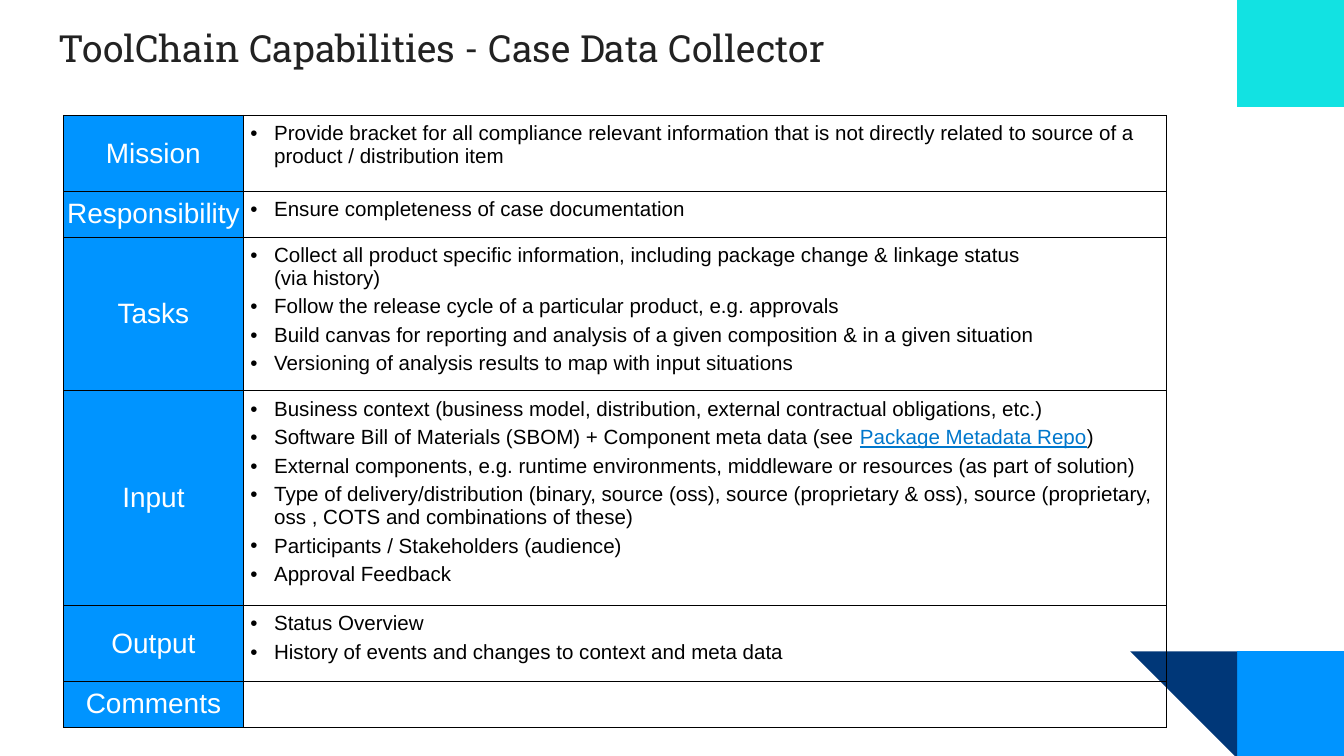
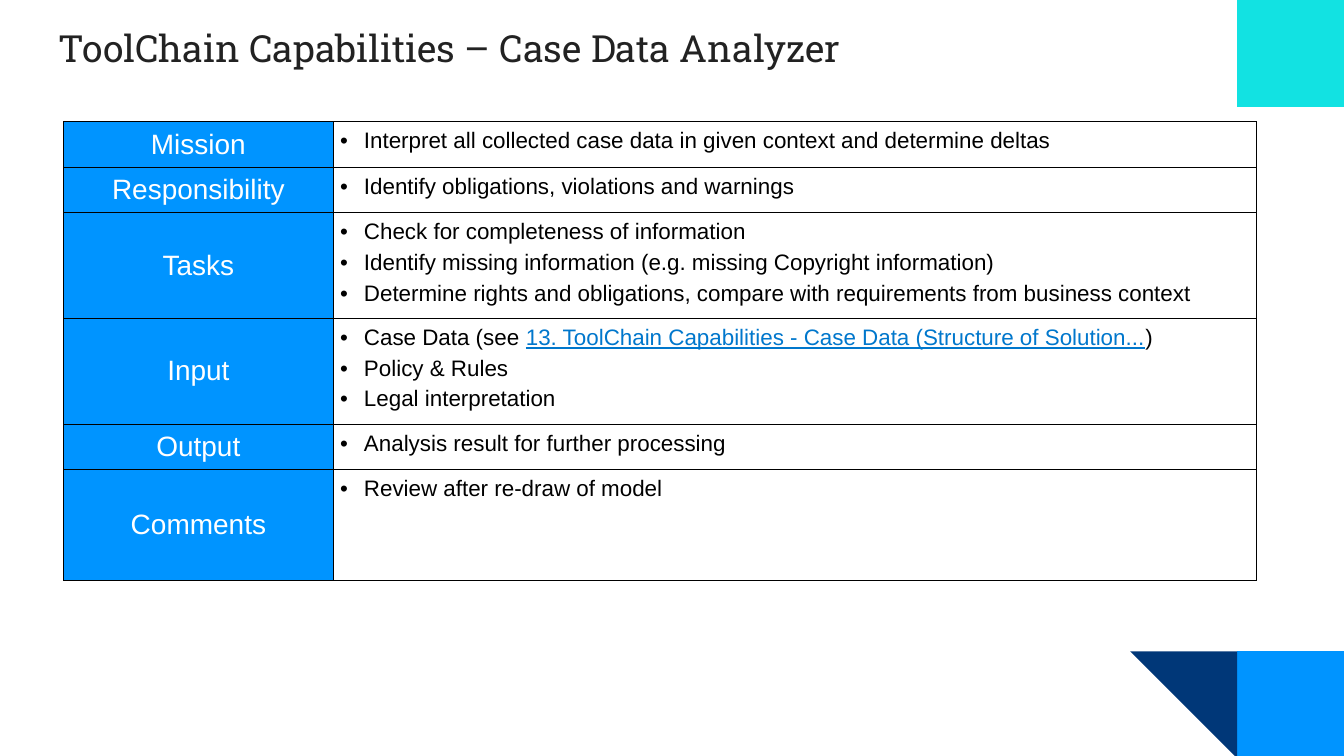
from dataclasses import dataclass
from lxml.etree import SubElement as Sub
from pptx import Presentation
from pptx.dml.color import RGBColor as RGB
from pptx.enum.shapes import MSO_SHAPE as Kind
from pptx.enum.text import MSO_ANCHOR as Anchor, PP_ALIGN as Align
from pptx.oxml import parse_xml
from pptx.oxml.ns import nsdecls, qn
from pptx.util import Cm, Pt

# Content: row label, row height in cm, bullets; |bars| enclose link-styled text
DECK = [
    {
        "title": "ToolChain Capabilities - Case Data Collector",
        "top": 2.18, "label": 3.4, "size": 11,
        "rows": [
            ("Mission", 1.44, [
                "Provide bracket for all compliance relevant information that is not "
                "directly related to source of a product / distribution item"]),
            ("Responsibility", 0.86, ["Ensure completeness of case documentation"]),
            ("Tasks", 2.73, [
                "Collect all product specific information, including package change "
                "& linkage status \n(via history)",
                "Follow the release cycle of a particular product, e.g. approvals",
                "Build canvas for reporting and analysis of a given composition "
                "& in a given situation",
                "Versioning of analysis results to map with input situations"]),
            ("Input", 3.8, [
                "Business context (business model, distribution, external contractual "
                "obligations, etc.)",
                "Software Bill of Materials (SBOM) + Component meta data "
                "(see |Package Metadata Repo|)",
                "External components, e.g. runtime environments, middleware or "
                "resources (as part of solution)",
                "Type of delivery/distribution (binary, source (oss), source "
                "(proprietary & oss), source (proprietary, oss , COTS and "
                "combinations of these)",
                "Participants / Stakeholders (audience)",
                "Approval Feedback"]),
            ("Output", 1.44, [
                "Status Overview",
                "History of events and changes to context and meta data"]),
            ("Comments", 0.86, []),
        ],
    },
    {
        "title": "ToolChain Capabilities – Case Data Analyzer",
        "top": 2.3, "label": 5.1, "size": 12,
        "rows": [
            ("Mission", 0.86, [
                "Interpret all collected case data in given context and determine deltas"]),
            ("Responsibility", 0.86, ["Identify obligations, violations and warnings"]),
            ("Tasks", 1.95, [
                "Check for completeness of information",
                "Identify missing information (e.g. missing Copyright information)",
                "Determine rights and obligations, compare with requirements from "
                "business context"]),
            ("Input", 1.95, [
                "Case Data (see |13. ToolChain Capabilities - Case Data "
                "(Structure of Solution...|)",
                "Policy & Rules",
                "Legal interpretation"]),
            ("Output", 0.86, ["Analysis result for further processing"]),
            ("Comments", 2.1, ["Review after re-draw of model"]),
        ],
    },
]


@dataclass(frozen=True)
class Theme:
    blue: str = "0094FF"
    navy: str = "003778"
    cyan: str = "12E2E2"
    ink: str = "222222"
    link: str = "0077CC"
    black: str = "000000"
    white: str = "FFFFFF"
    head: str = "Roboto Slab"
    body: str = "Arial"
    title: int = 20
    label: int = 15


T = Theme()
WIDE, HIGH = 25.4, 14.29
SIDE = 2.02     # corner blocks
LEFT = 1.2      # table edge
MAIN = 17.45    # bullet column
PAD, DENT = 0.13, 0.45


def paint(font, face, size, tint):
    font.name, font.size = face, Pt(size)
    font.color.rgb = RGB.from_string(tint)


def inset(box, x, y):
    box.margin_left = box.margin_right = Cm(x)
    box.margin_top = box.margin_bottom = Cm(y)


def block(page, kind, x, y, tint, turn=0):
    shape = page.shapes.add_shape(kind, Cm(x), Cm(y), Cm(SIDE), Cm(SIDE))
    shape.shadow.inherit = False
    shape.fill.solid()
    shape.fill.fore_color.rgb = RGB.from_string(tint)
    shape.line.fill.background()
    shape.rotation = turn


def frame(page, title):
    """Corner blocks and title, the same on each slide."""
    x, y = WIDE - SIDE, 12.31
    block(page, Kind.RECTANGLE, x, y, T.blue)
    block(page, Kind.RIGHT_TRIANGLE, x - SIDE, y, T.navy, 180)
    block(page, Kind.RECTANGLE, x, 0, T.cyan)
    text = page.shapes.add_textbox(Cm(0.86), Cm(0.23), Cm(23.67), Cm(1.68)).text_frame
    text.word_wrap = True
    inset(text, 0.25, 0.25)
    para = text.paragraphs[0]
    para.text = title
    paint(para.font, T.head, T.title, T.ink)


def edge(cell):
    """Thin black border; border lines come before the fill."""
    props = cell._tc.get_or_add_tcPr()
    for spot, side in enumerate("LRTB"):
        props.insert(spot, parse_xml(
            f'<a:ln{side} {nsdecls("a")} w="{Pt(0.5)}"><a:solidFill>'
            f'<a:srgbClr val="{T.black}"/></a:solidFill></a:ln{side}>'))


def bullet(para):
    props = para._p.get_or_add_pPr()
    props.set("marL", str(Cm(DENT)))
    props.set("indent", str(-Cm(DENT)))
    Sub(Sub(props, qn("a:buClr")), qn("a:srgbClr")).set("val", T.black)
    Sub(props, qn("a:buFont")).set("typeface", T.body)
    Sub(props, qn("a:buChar")).set("char", "•")


def name(cell, label):
    cell.fill.solid()
    cell.fill.fore_color.rgb = RGB.from_string(T.blue)
    cell.vertical_anchor = Anchor.MIDDLE
    inset(cell, 0, 0)
    para = cell.text_frame.paragraphs[0]
    para.text = label
    para.alignment = Align.CENTER
    paint(para.font, T.body, T.label, T.white)


def fill(cell, items, size):
    cell.fill.background()
    inset(cell, PAD, PAD if items else 0)
    text = cell.text_frame
    for spot, item in enumerate(items):
        para = text.add_paragraph() if spot else text.paragraphs[0]
        parts = item.split("|")
        para.text = parts[0]
        bullet(para)
        if spot:
            para.space_before = Pt(3)
        paint(para.font, T.body, size, T.black)
        for turn, part in enumerate(parts[1:]):
            run = para.add_run()
            run.text = part
            if turn % 2 == 0:
                run.font.underline = True
                run.font.color.rgb = RGB.from_string(T.link)


def grid(page, data):
    rows, cols = data["rows"], (data["label"], MAIN)
    table = page.shapes.add_table(
        len(rows), len(cols), Cm(LEFT), Cm(data["top"]),
        Cm(sum(cols)), Cm(sum(row[1] for row in rows))).table
    table.first_row = table.horz_banding = False
    for col, wide in zip(table.columns, cols):
        col.width = Cm(wide)
    for spot, (label, high, items) in enumerate(rows):
        table.rows[spot].height = Cm(high)
        name(table.cell(spot, 0), label)
        fill(table.cell(spot, 1), items, data["size"])
    for cell in table.iter_cells():
        edge(cell)


def main():
    deck = Presentation()
    deck.slide_width, deck.slide_height = Cm(WIDE), Cm(HIGH)
    for data in DECK:
        page = deck.slides.add_slide(deck.slide_layouts[6])
        frame(page, data["title"])
        grid(page, data)
    deck.save("out.pptx")


if __name__ == "__main__":
    main()
